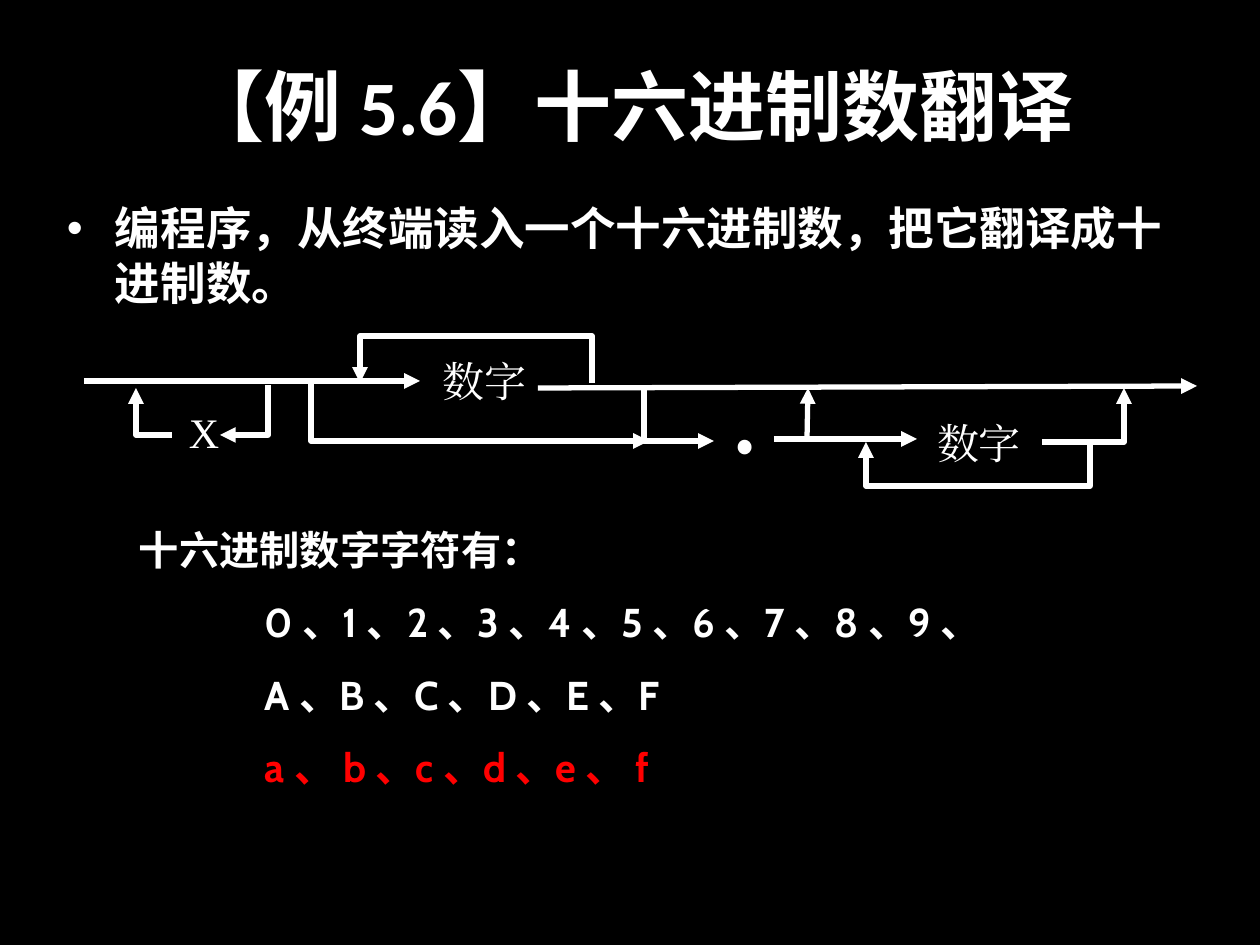
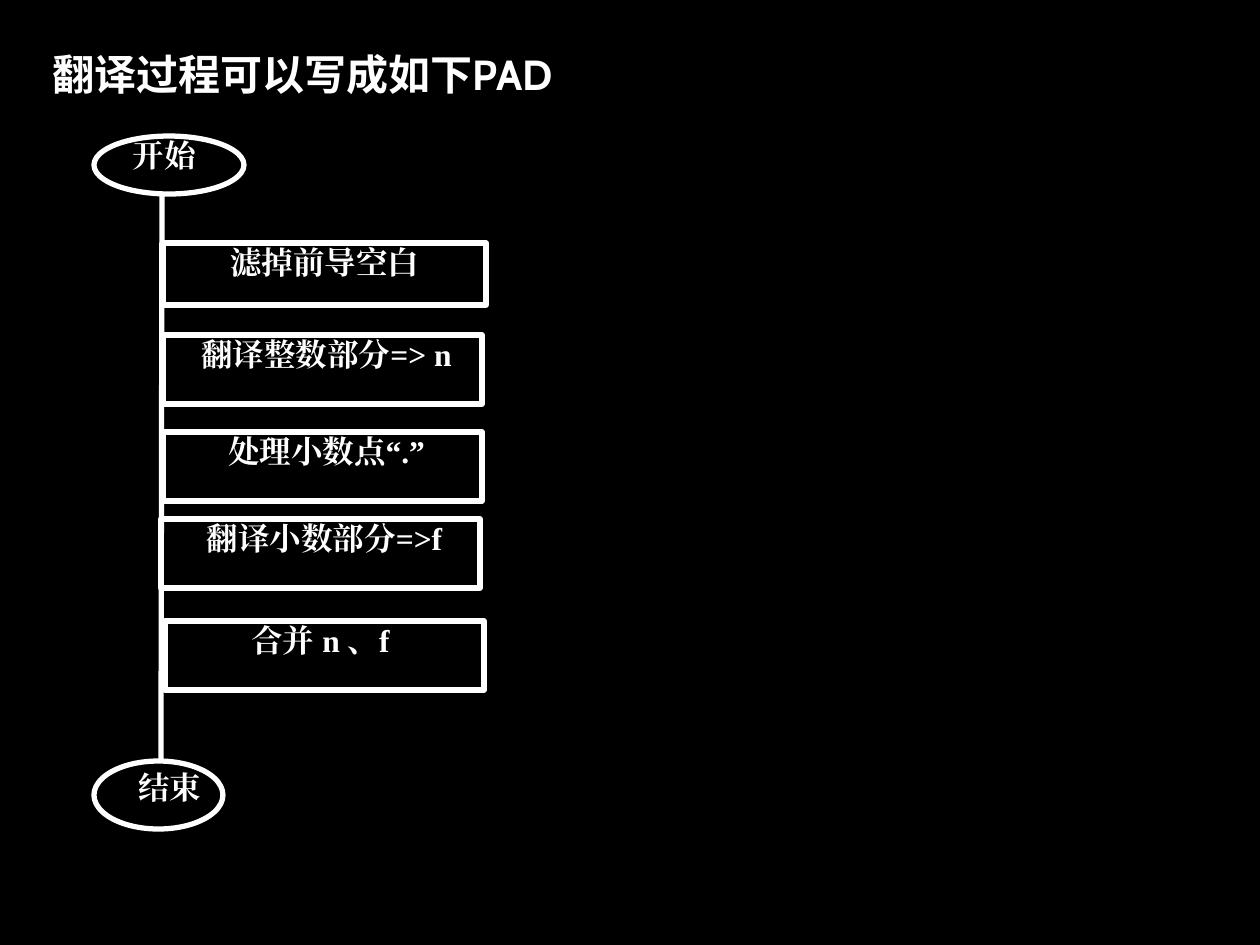
from dataclasses import dataclass

from lxml.etree import SubElement
from pptx import Presentation
from pptx.dml.color import RGBColor
from pptx.enum.shapes import MSO_CONNECTOR, MSO_SHAPE
from pptx.enum.text import MSO_ANCHOR as ANCHOR, MSO_AUTO_SIZE as AUTO, PP_ALIGN as ALIGN
from pptx.oxml.ns import qn
from pptx.util import Pt

PX = 914400 / 126


@dataclass(frozen=True)
class Theme:
    back: RGBColor = RGBColor(0, 0, 0)
    ink: RGBColor = RGBColor(255, 255, 255)
    accent: RGBColor = RGBColor(255, 0, 0)
    stroke: int = 3
    title: tuple = ("Calibri", 44, True)
    title_cjk: tuple = ("Arial", 44, True)
    body: tuple = ("Calibri", 26, True)
    heading: tuple = ("Cabin", 24, True)
    charset: tuple = ("Cabin", 23, True)
    symbol: tuple = ("Times New Roman", 24, False)
    point: tuple = ("Noto Sans CJK SC", 60, False)
    step: tuple = ("Times New Roman", 18, True)


THEME = Theme()


def px(n):
    return round(n * PX)


def set_all(obj, values):
    for key, value in values.items():
        setattr(obj, key, value)


def add_run(p, text, style, color=THEME.ink):
    r = p.add_run()
    r.text = text
    name, size, bold = style
    set_all(r.font, {"name": name, "size": Pt(size), "bold": bold})
    r.font.color.rgb = color
    SubElement(r.font._element, qn("a:ea"), typeface=name)


def set_frame(tf, anchor=ANCHOR.TOP, margins=(0, 0, 0, 0), wrap=True):
    left, top, right, bottom = map(px, margins)
    set_all(tf, {
        "auto_size": AUTO.NONE, "word_wrap": wrap, "vertical_anchor": anchor,
        "margin_left": left, "margin_top": top,
        "margin_right": right, "margin_bottom": bottom,
    })


def place(sp, box):
    set_all(sp, dict(zip(("left", "top", "width", "height"), map(px, box))))


def add_title(slide, box, runs, align, wrap=True):
    sp = slide.shapes.title
    place(sp, box)
    set_frame(sp.text_frame, ANCHOR.MIDDLE, (13, 6, 13, 6), wrap)
    p = sp.text_frame.paragraphs[0]
    p.alignment = align
    for text, style in runs:
        add_run(p, text, style)


def add_text(slide, box, text, style, align=ALIGN.LEFT, margin=0):
    tf = slide.shapes.add_textbox(*map(px, box)).text_frame
    set_frame(tf, margins=(margin,) * 4)
    tf.paragraphs[0].alignment = align
    add_run(tf.paragraphs[0], text, style)


def add_bullet(slide, box, text):
    tf = slide.shapes.add_textbox(*map(px, box)).text_frame
    set_frame(tf, margins=(13, 6, 13, 6))
    p = tf.paragraphs[0]
    pPr = p._p.get_or_add_pPr()
    pPr.set("marL", str(px(48)))
    pPr.set("indent", str(-px(48)))
    SubElement(SubElement(pPr, qn("a:buClr")), qn("a:srgbClr"), val=str(THEME.ink))
    SubElement(pPr, qn("a:buFont"), typeface="Arial")
    SubElement(pPr, qn("a:buChar"), char="•")
    add_run(p, text, THEME.body)


def add_charset(slide, box, rows):
    tf = slide.shapes.add_textbox(*map(px, box)).text_frame
    set_frame(tf, ANCHOR.MIDDLE, (13, 6, 13, 6))
    for i, (level, text, color) in enumerate(rows):
        p = tf.add_paragraph() if i else tf.paragraphs[0]
        p.line_spacing = 1.5
        p._p.get_or_add_pPr().set("marL", str(px(126 * level)))
        add_run(p, text, THEME.charset, color)


def set_line(sp):
    sp.line.color.rgb = THEME.ink
    sp.line.width = Pt(THEME.stroke)


def add_route(slide, points, arrow=True):
    if len(points) == 2:
        ends = [px(n) for point in points for n in point]
        sp = slide.shapes.add_connector(MSO_CONNECTOR.STRAIGHT, *ends)
        set_line(sp)
        SubElement(sp._element.spPr, qn("a:effectLst"))
    else:
        fb = slide.shapes.build_freeform(*points[0], scale=PX)
        fb.add_line_segments(points[1:], close=False)
        sp = fb.convert_to_shape()
        sp.fill.background()
        sp.shadow.inherit = False
        set_line(sp)
    if arrow:
        SubElement(sp.line._get_or_add_ln(), qn("a:tailEnd"), type="triangle")


def add_outline(slide, kind, box):
    sp = slide.shapes.add_shape(kind, *map(px, box))
    sp.fill.background()
    sp.shadow.inherit = False
    set_line(sp)
    return sp


def add_step(slide, box, text, shift):
    sp = add_outline(slide, MSO_SHAPE.RECTANGLE, box)
    set_frame(sp.text_frame, margins=(max(shift, 0), 0, max(-shift, 0), 0))
    p = sp.text_frame.paragraphs[0]
    p.alignment = ALIGN.CENTER
    add_run(p, text, THEME.step)


def add_terminal(slide, oval, label_box, text):
    add_text(slide, label_box, text, THEME.step, ALIGN.CENTER)
    add_outline(slide, MSO_SHAPE.OVAL, oval)


def build_syntax_slide(slide):
    add_title(slide, (64, 26, 1134, 158),
              [("【例 5.6】", THEME.title), ("十六进制数翻译", THEME.title_cjk)], ALIGN.CENTER)
    add_bullet(slide, (54, 194, 1134, 131),
               "编程序，从终端读入一个十六进制数，把它翻译成十进制数。")
    add_charset(slide, (0, 495, 1260, 302), [
        (1, "十六进制数字字符有：", THEME.ink),
        (2, "0 、1 、2 、3 、4 、5 、6 、7 、8 、9 、", THEME.ink),
        (2, "A 、B 、C 、D 、E 、F", THEME.ink),
        (2, "a 、 b 、c 、d 、e 、 f", THEME.accent),
    ])
    for box, text, style in [
        ((442, 355, 96, 58), "数字", THEME.symbol),
        ((188, 406, 48, 50), "X", THEME.symbol),
        ((936, 417, 96, 58), "数字", THEME.symbol),
        ((730, 347, 58, 158), ".", THEME.point),
    ]:
        add_text(slide, box, text, style, ALIGN.JUSTIFY, margin=1)
    for points in [
        [(84, 381), (420, 381)],
        [(538, 388), (1197, 386)],
        [(592, 383), (592, 336), (360, 336), (360, 383)],
        [(268, 385), (268, 435), (220, 435)],
        [(172, 435), (136, 435), (136, 388)],
        [(644, 387), (644, 441), (714, 441)],
        [(1042, 442), (1124, 442), (1124, 388)],
        [(774, 439), (917, 439)],
        [(807, 439), (808, 388)],
        [(1090, 442), (1090, 486), (866, 486), (866, 442)],
        [(311, 380), (311, 441), (649, 441)],
    ]:
        add_route(slide, points)


def build_pad_slide(slide):
    add_title(slide, (40, 42, 552, 63),
              [("翻译过程可以写成如下PAD", THEME.heading)], ALIGN.LEFT, wrap=False)
    add_terminal(slide, (94, 136, 150, 58), (84, 136, 161, 47), "开始")
    add_route(slide, [(162, 194), (161, 761)], arrow=False)
    for box, text, shift in [
        ((163, 243, 323, 62), "滤掉前导空白", 0),
        ((163, 335, 319, 69), "翻译整数部分=> n", 8),
        ((163, 432, 319, 69), "处理小数点“.”", 8),
        ((161, 519, 319, 69), "翻译小数部分=>f", 8),
        ((165, 621, 319, 69), "合并 n 、f", -8),
    ]:
        add_step(slide, box, text, shift)
    add_terminal(slide, (94, 761, 129, 68), (101, 768, 138, 54), "结束")


def main():
    prs = Presentation()
    prs.slide_width, prs.slide_height = px(1260), px(945)
    fill = prs.slide_master.background.fill
    fill.solid()
    fill.fore_color.rgb = THEME.back
    for build in (build_syntax_slide, build_pad_slide):
        build(prs.slides.add_slide(prs.slide_layouts[5]))
    prs.save("out.pptx")


if __name__ == "__main__":
    main()
